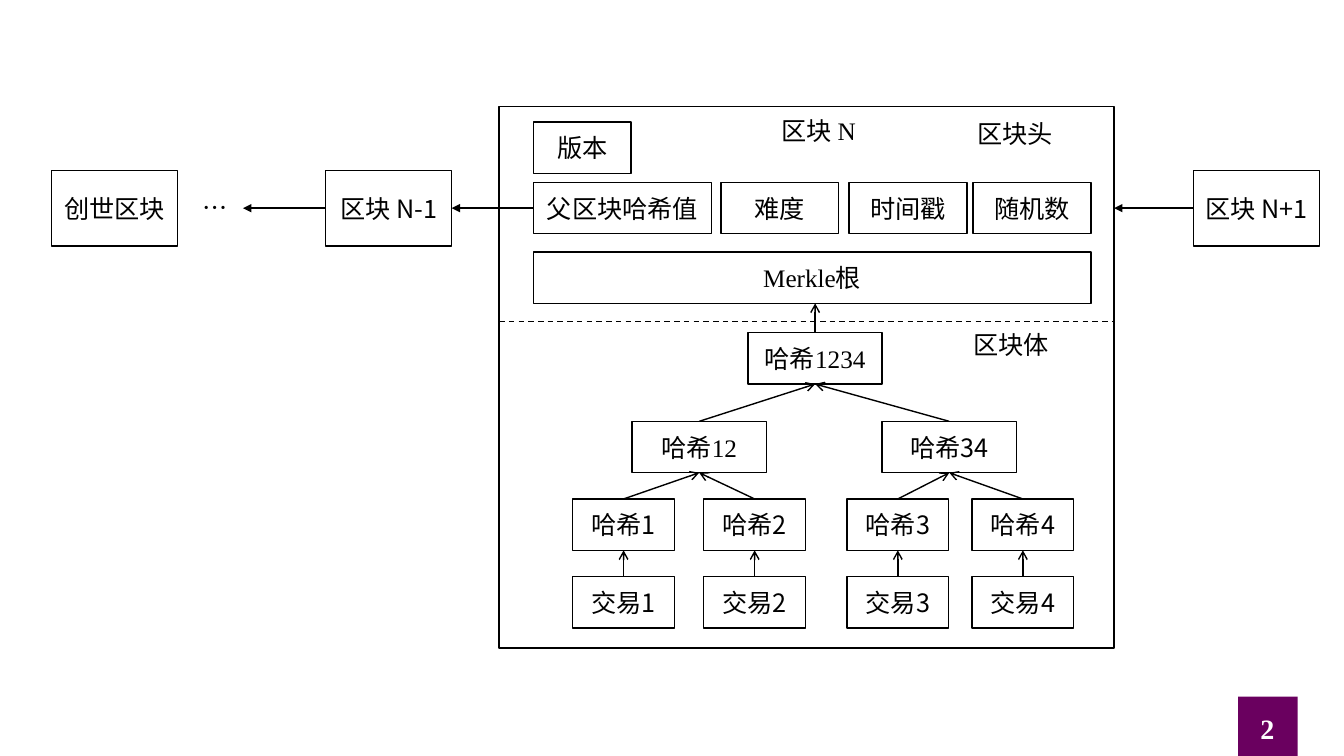
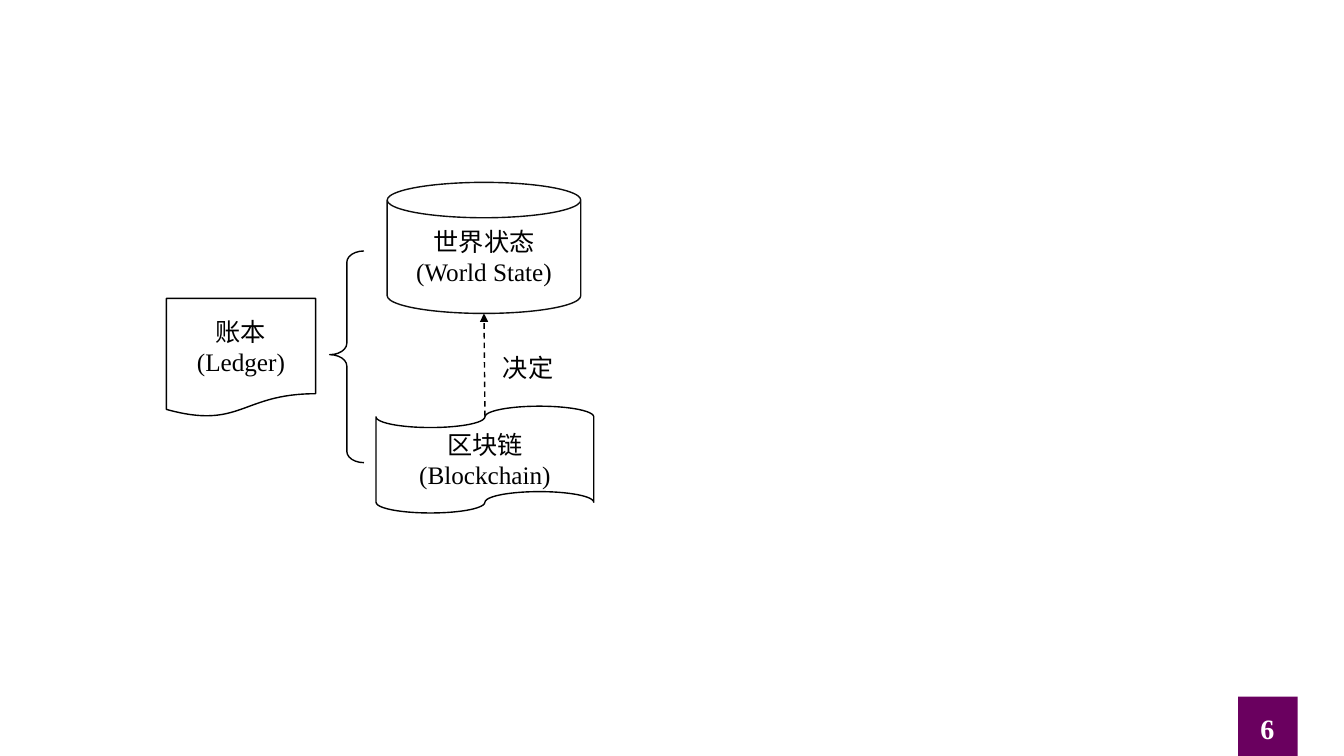
"""Build two slides on block structure and the ledger."""
from lxml import etree
from pptx import Presentation
from pptx import util as u
from pptx.dml.color import RGBColor
from pptx.enum import dml, shapes, text
from pptx.oxml import ns

WIDTH, HEIGHT = 13.33, 7.5
BLACK, NEAR_BLACK, WHITE, PURPLE = "000000", "0D0D0D", "FFFFFF", "6A005F"
CJK, LATIN = "Noto Sans CJK SC", "Times New Roman"
PRESET = shapes.MSO_SHAPE
ROW = 0.51

CHAIN_TOP, CHAIN_SIZE = 1.69, (1.25, 0.75)
CHAIN = [("创世区块", 0.51), ("区块 N-1", 3.23), ("区块 N+1", 11.84)]
CHAIN_ARROWS = [(5.29, 4.48), (11.84, 11.05), (3.23, 2.41)]

FRAME = (4.95, 1.06, 6.1, 5.37)
DIVIDER_Y = 3.19
HEADER = [
    ("版本", 5.29, 1.21, 0.97),
    ("父区块哈希值", 5.29, 1.81, 1.77),
    ("难度", 7.15, 1.81, 1.17),
    ("时间戳", 8.42, 1.81, 1.17),
    ("随机数", 9.65, 1.81, 1.17),
]
MERKLE = (5.29, 2.5, 5.53, ROW)
LABELS = [
    ([("区块 ", CJK), ("N", LATIN)], 7.39, 1.09, 1.46),
    ("区块头", 9.34, 1.12, 1.46),
    ("区块体", 9.3, 3.22, 1.46),
    ("…", 1.53, 1.86, 1.2),
]
LEAF_LEFTS, LEAF_WIDTH, LEAF_TOP, LEAF_STEP = [5.68, 6.98, 8.4, 9.64], 1.01, 4.95, 0.77
NODE_WIDTH, NODE_TOP = 1.33, 4.18
NODES = [([("哈希", CJK), ("12", LATIN)], 6.27), ("哈希34", 8.75)]
ROOT = (7.42, 3.3, NODE_WIDTH, ROW)

LEDGER = [
    ("账本", "(Ledger)", PRESET.FLOWCHART_DOCUMENT, (1.65, 2.96, 1.48, 1.18), [], BLACK),
    ("世界状态", "(World State)", PRESET.CAN, (3.84, 1.81, 1.92, 1.3), [0.27], NEAR_BLACK),
    ("区块链", "(Blockchain)", PRESET.WAVE, (3.73, 4.03, 2.16, 1.06), [], BLACK),
]
LEDGER[2] = LEDGER[2][:2] + (PRESET.FLOWCHART_PUNCHED_TAPE,) + LEDGER[2][3:]
BRACE, BRACE_ADJUST = (3.27, 2.49, 0.34, 2.1), [0.33, 0.49]


def color(value):
    return RGBColor.from_string(value)


def inches(values):
    return [u.Inches(value) for value in values]


def write(shape, paragraphs, size=18, ink=BLACK, bold=False, align="CENTER", anchor="TOP", wrap=True):
    """Write a string, or a list of paragraphs made of (text, font) runs."""
    frame = shape.text_frame
    frame.word_wrap = wrap
    frame.vertical_anchor = getattr(text.MSO_ANCHOR, anchor)
    if isinstance(paragraphs, str):
        paragraphs = [[(paragraphs, CJK)]]
    for index, runs in enumerate(paragraphs):
        paragraph = frame.add_paragraph() if index else frame.paragraphs[0]
        paragraph.alignment = getattr(text.PP_ALIGN, align)
        for words, face in runs:
            run = paragraph.add_run()
            run.text = words
            run.font.name = face
            run.font.size = u.Pt(size)
            run.font.bold = bold
            run.font.color.rgb = color(ink)
            latin = run.font._element.find(ns.qn("a:latin"))
            east_asian = etree.Element(ns.qn("a:ea"), typeface=face)
            latin.addnext(east_asian)


def as_paragraphs(content):
    return content if isinstance(content, str) else [content]


def add_box(slide, place, content=None, preset=PRESET.RECTANGLE, adjust=(), fill=WHITE, line=BLACK):
    shape = slide.shapes.add_shape(preset, *inches(place))
    shape.shadow.inherit = False
    for index, value in enumerate(adjust):
        shape.adjustments[index] = value
    if fill:
        shape.fill.solid()
        shape.fill.fore_color.rgb = color(fill)
    else:
        shape.fill.background()
    if line:
        shape.line.color.rgb = color(line)
        shape.line.width = u.Pt(1)
    else:
        shape.line.fill.background()
    if content:
        write(shape, content, anchor="MIDDLE")


def add_label(slide, place, content, **style):
    write(slide.shapes.add_textbox(*inches(place)), content, **style)


def add_line(slide, start, end, width=1, head=None, dashed=False):
    line = slide.shapes.add_connector(shapes.MSO_CONNECTOR.STRAIGHT, *inches((*start, *end)))
    line.line.color.rgb = color(BLACK)
    line.line.width = u.Pt(width)
    if dashed:
        line.line.dash_style = dml.MSO_LINE.DASH
    if head:
        etree.SubElement(line.line._get_or_add_ln(), ns.qn("a:tailEnd"), type=head)
    etree.SubElement(line._element.spPr, ns.qn("a:effectLst"))


def top_center(place):
    return place[0] + place[2] / 2, place[1]


def bottom_center(place):
    return place[0] + place[2] / 2, place[1] + place[3]


def add_slide(presentation, number):
    slide = presentation.slides.add_slide(presentation.slide_layouts[6])
    add_box(slide, (12.28, 6.91, 0.59, 0.59), fill=PURPLE, line=None)
    add_label(slide, (11.81, 7.01, 1.52, 0.4), [[(number, LATIN)]], size=20, ink=WHITE, bold=True)
    return slide


def add_merkle_tree(slide):
    add_box(slide, ROOT, [[("哈希", CJK), ("1234", LATIN)]])
    root_x, root_top = top_center(ROOT)
    add_line(slide, (root_x, root_top), (root_x, MERKLE[1] + ROW), head="arrow")
    node_places = []
    for content, left in NODES:
        place = (left, NODE_TOP, NODE_WIDTH, ROW)
        node_places.append(place)
        add_box(slide, place, as_paragraphs(content))
        add_line(slide, top_center(place), bottom_center(ROOT), head="arrow")
    for index, left in enumerate(LEAF_LEFTS):
        leaf = (left, LEAF_TOP, LEAF_WIDTH, ROW)
        trade = (left, LEAF_TOP + LEAF_STEP, LEAF_WIDTH, ROW)
        add_box(slide, leaf, f"哈希{index + 1}")
        add_box(slide, trade, f"交易{index + 1}")
        add_line(slide, top_center(leaf), bottom_center(node_places[index // 2]), head="arrow")
        add_line(slide, top_center(trade), bottom_center(leaf), head="arrow")


def build_block_slide(presentation):
    slide = add_slide(presentation, "2")
    add_box(slide, FRAME)
    for content, left in CHAIN:
        add_box(slide, (left, CHAIN_TOP, *CHAIN_SIZE), content)
    for content, left, top, width in HEADER:
        add_box(slide, (left, top, width, ROW), content)
    add_box(slide, MERKLE, [[("Merkle", LATIN), ("根", CJK)]])
    add_line(slide, (FRAME[0], DIVIDER_Y), (FRAME[0] + FRAME[2], DIVIDER_Y), dashed=True)
    add_merkle_tree(slide)
    for content, left, top, width in LABELS:
        add_label(slide, (left, top, width, 0.4), as_paragraphs(content))
    arrow_y = CHAIN_TOP + CHAIN_SIZE[1] / 2
    for start, end in CHAIN_ARROWS:
        add_line(slide, (start, arrow_y), (end, arrow_y), width=1.5, head="triangle")


def build_ledger_slide(presentation):
    slide = add_slide(presentation, "6")
    for name, english, preset, place, adjust, line in LEDGER:
        add_box(slide, place, [[(name, CJK)], [(english, LATIN)]], preset, adjust, line=line)
    add_box(slide, BRACE, preset=PRESET.LEFT_BRACE, adjust=BRACE_ADJUST, fill=None)
    add_line(slide, (4.81, 4.13), bottom_center(LEDGER[1][3]), head="triangle", dashed=True)
    add_label(slide, (4.89, 3.45, 0.71, 0.4), "决定", align="LEFT", wrap=False)


def main():
    presentation = Presentation()
    presentation.slide_width, presentation.slide_height = inches((WIDTH, HEIGHT))
    build_block_slide(presentation)
    build_ledger_slide(presentation)
    presentation.save("out.pptx")


if __name__ == "__main__":
    main()
